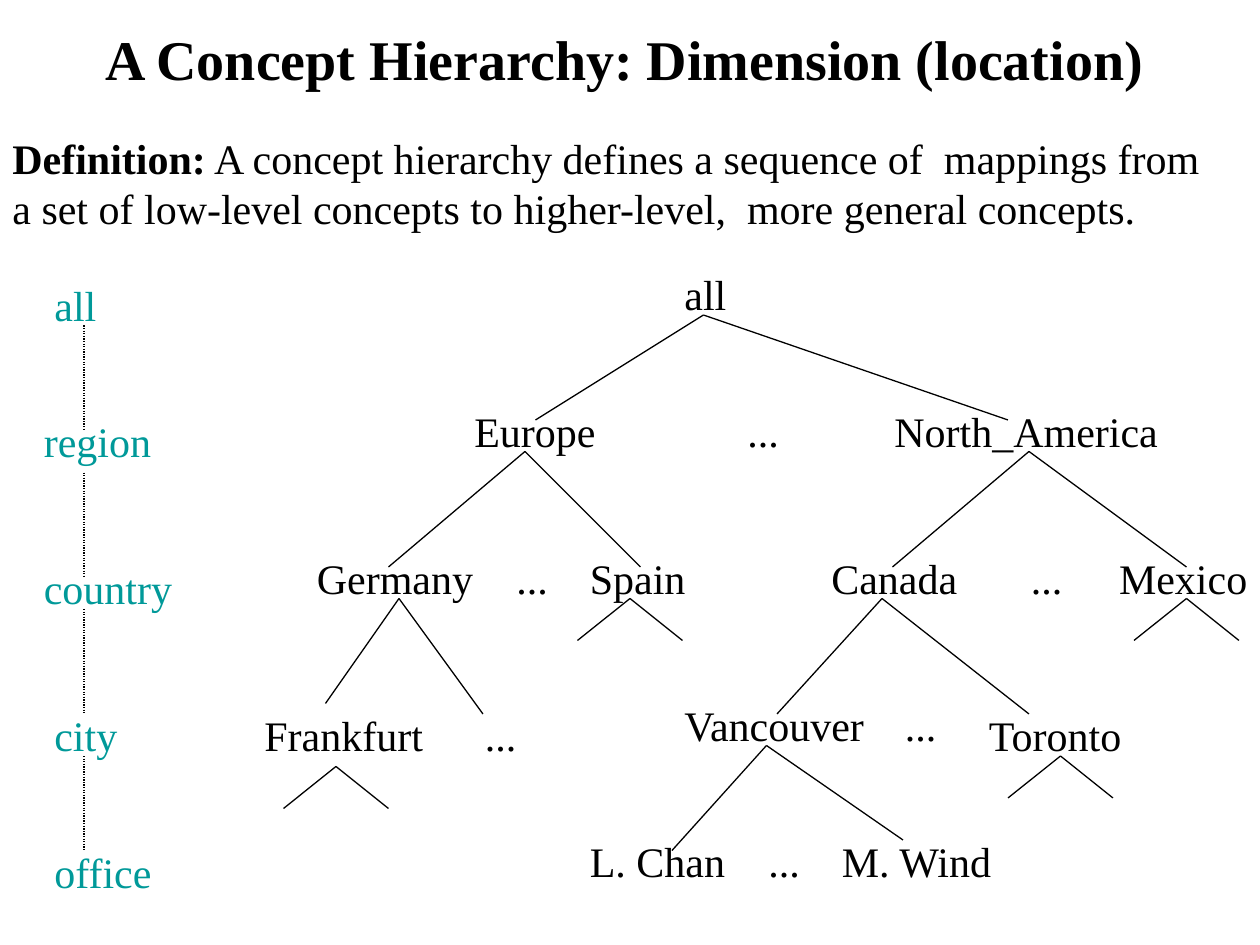
from typing import NamedTuple

from lxml.etree import SubElement
from pptx import Presentation
from pptx.dml.color import RGBColor
from pptx.enum.shapes import MSO_CONNECTOR as Connector
from pptx.enum.text import MSO_ANCHOR as Anchor, MSO_AUTO_SIZE as AutoSize, PP_ALIGN as Align
from pptx.oxml.ns import qn
from pptx.util import Inches, Pt

BLACK = RGBColor(0x00, 0x00, 0x00)
TEAL = RGBColor(0x00, 0x99, 0x99)
FONT = "Times New Roman"

# The slide is a grid of 120 columns and 90 rows
deck = Presentation()
deck.slide_width, deck.slide_height = Inches(10), Inches(7.5)
CELL = deck.slide_width / 120
page = deck.slides.add_slide(deck.slide_layouts[6])


class Label(NamedTuple):
    text: str
    column: float
    row: float
    columns: float


class Fork(NamedTuple):
    column: float
    row: float
    left: tuple[float, float] = (-5, 4)
    right: tuple[float, float] = (5, 4)


def cells(count: float) -> int:
    return round(count * CELL)


def add_text(*parts: tuple[str, bool], column: float, row: float, columns: float, rows: float = 6,
             size: float = 24, color: RGBColor = BLACK, wrap: bool = False,
             align: Align = Align.LEFT, anchor: Anchor = Anchor.TOP,
             fit: AutoSize = AutoSize.SHAPE_TO_FIT_TEXT) -> None:
    """Add one paragraph made of (text, bold) parts."""
    box = page.shapes.add_textbox(cells(column), cells(row), cells(columns), cells(rows))
    frame = box.text_frame
    frame.word_wrap, frame.auto_size, frame.vertical_anchor = wrap, fit, anchor
    para = frame.paragraphs[0]
    para.alignment = align
    for text, bold in parts:
        span = para.add_run()
        span.text = text
        span.font.name, span.font.size, span.font.bold = FONT, Pt(size), bold
        span.font.color.rgb = color


def add_line(start: tuple[float, float], end: tuple[float, float], dotted: bool = False) -> None:
    line = page.shapes.add_connector(Connector.STRAIGHT, *map(cells, start + end))
    line.line.color.rgb, line.line.width = BLACK, Pt(0.75)
    properties = line._element.spPr
    if dotted:
        SubElement(properties.find(qn("a:ln")), qn("a:prstDash"), val="sysDot")
    SubElement(properties, qn("a:effectLst"))


def add_labels(labels: list[Label], color: RGBColor) -> None:
    for label in labels:
        add_text((label.text, False), column=label.column, row=label.row,
                 columns=label.columns, color=color)


def add_fork(fork: Fork) -> None:
    for across, down in (fork.left, fork.right):
        add_line((fork.column, fork.row), (fork.column + across, fork.row + down))


LEVELS = [
    Label("all", 4, 26, 6.6),
    Label("region", 3, 39, 12.9),
    Label("country", 3, 53, 14.9),
    Label("city", 4, 67, 8.7),
    Label("office", 4, 80, 12),
]
LEVEL_COLUMN = 8
LEVEL_LINKS = [(31, 41), (45, 55), (58, 68), (72, 81)]

PLACES = [
    Label("all", 64, 25, 6.6),
    Label("Europe", 44, 38, 14.2),
    Label("North_America", 84, 38, 27.8),
    Label("Germany", 29, 52, 17.6),
    Label("Spain", 55, 52, 11.8),
    Label("Canada", 78, 52, 14.7),
    Label("Mexico", 105.4, 52, 14.6),
    Label("Frankfurt", 24, 67, 17.8),
    Label("Vancouver", 64, 66, 20.2),
    Label("Toronto", 93, 67, 15.5),
    Label("L. Chan", 55, 79, 15.6),
    Label("M. Wind", 79, 79, 17.1),
]
GAPS = [(70, 38), (48, 52), (97, 52), (45, 67), (85, 66), (72, 79)]
GAP_COLUMNS = 5.6

FORKS = [
    Fork(67, 30, (-16, 10), (29, 10)),  # all
    Fork(50, 43, (-13, 11), (11, 11)),  # Europe
    Fork(98, 43, (-13, 11), (15, 11)),  # North_America
    Fork(38, 57, (-7, 10), (8, 11)),    # Germany
    Fork(84, 57, (-10, 11), (14, 11)),  # Canada
    Fork(73, 71, (-9, 10), (13, 9)),    # Vancouver
    Fork(60, 57),                       # Spain
    Fork(113, 57),                      # Mexico
    Fork(32, 73),                       # Frankfurt
    Fork(101, 72),                      # Toronto
]

# Title and definition
add_text(("A Concept Hierarchy: Dimension (location)", True), column=8, row=0, columns=103,
         rows=11, size=32, wrap=True, align=Align.CENTER, anchor=Anchor.MIDDLE,
         fit=AutoSize.NONE)
add_text(("Definition:", True),
         (" A concept hierarchy defines a sequence of  mappings from a set of low-level "
          "concepts to higher-level,  more general concepts.", False),
         column=0, row=12, columns=116, rows=10.8, wrap=True)

# Tree of places
add_labels(PLACES, BLACK)
add_labels([Label("...", column, row, GAP_COLUMNS) for column, row in GAPS], BLACK)
for fork in FORKS:
    add_fork(fork)

# Level names with dotted links
add_labels(LEVELS, TEAL)
for top, bottom in LEVEL_LINKS:
    add_line((LEVEL_COLUMN, top), (LEVEL_COLUMN, bottom), dotted=True)

deck.save("out.pptx")
